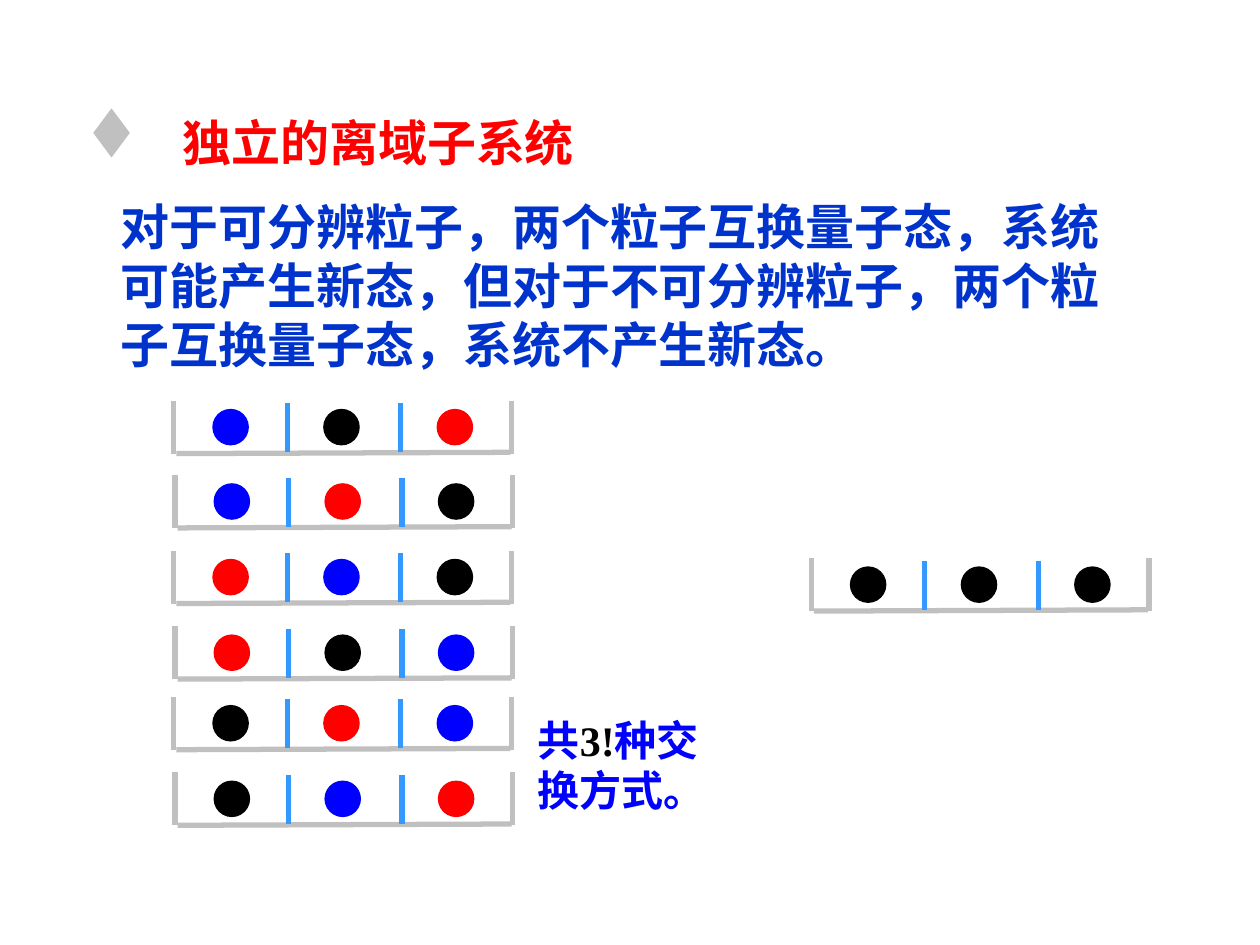
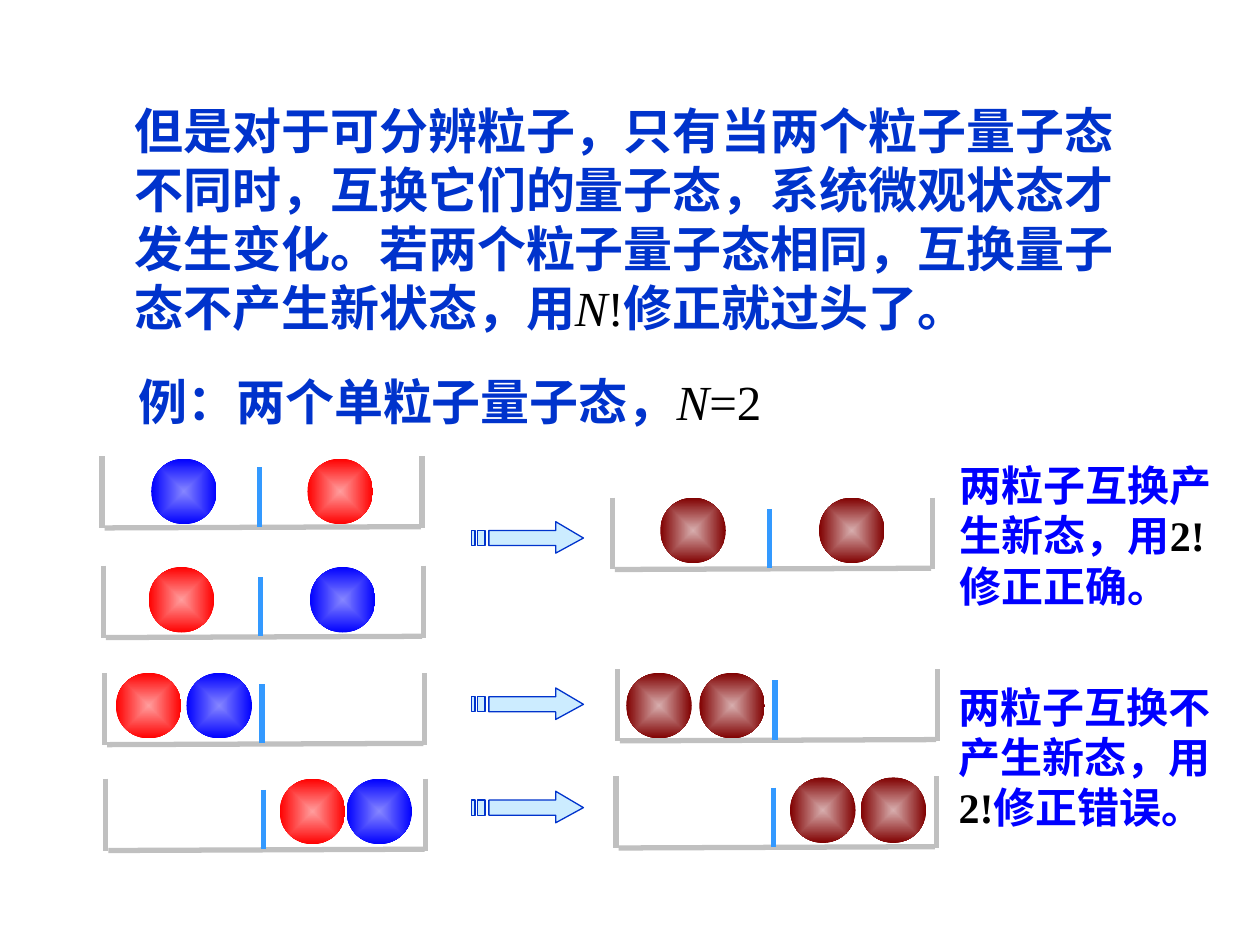
from pptx import Presentation
from pptx.dml.color import RGBColor
from pptx.enum.shapes import MSO_CONNECTOR, MSO_SHAPE
from pptx.enum.text import MSO_ANCHOR, PP_ALIGN
from pptx.oxml.ns import qn
from pptx.util import Inches, Pt
from lxml import etree

LINE, OVAL, RHOMB = MSO_CONNECTOR.STRAIGHT, MSO_SHAPE.OVAL, MSO_SHAPE.DIAMOND
TOP, MID = MSO_ANCHOR.TOP, MSO_ANCHOR.MIDDLE
LEFT, JUST = PP_ALIGN.LEFT, PP_ALIGN.JUSTIFY
ROMAN, HAN = "Times New Roman", "Noto Sans CJK SC"

COLORS = {
    "blue": "0000FF", "red": "FF0000", "black": "000000", "navy": "0033CC",
    "wall": "C0C0C0", "split": "3399FF", "sky": "CCECFF", "brown": "800000",
}
# Centre tint of each shaded ball
TINTS = {"blue": "8686FF", "red": "FF9E9E", "brown": "D7AEAE"}

# Run styles: font, size, colour, bold, italic
STYLES = {
    "head": (ROMAN, 28, "red", True, False),
    "body": (ROMAN, 28, "navy", True, False),
    "sign": (ROMAN, 28, "black", False, False),
    "var": (ROMAN, 28, "black", False, True),
    "note": (HAN, 24, "blue", True, False),
    "num": (ROMAN, 24, "black", True, False),
}

# Text boxes: left, top, width, height, line pitch in points, runs
HEAD = (1.35, 0.72, 4.84, 0.66, 40.5, [("head", "独立的离域子系统")])
TEXTS_1 = [
    (0.86, 1.46, 8.28, 1.51, 33.7, [
        ("body", "对于可分辨粒子，两个粒子互换量子态，系统可能产生新态，"
                 "但对于不可分辨粒子，两个粒子互换量子态，系统不产生新态。")]),
    (4.17, 5.57, 1.66, 0.91, 28.7, [
        ("note", "共"), ("num", "3!"), ("note", "种交换方式。")]),
]
TEXTS_2 = [
    (0.97, 0.7, 8.28, 1.99, 33.7, [
        ("body", "但是对于可分辨粒子，只有当两个粒子量子态不同时，"
                 "互换它们的量子态，系统微观状态才发生变化。"
                 "若两个粒子量子态相同，互换量子态不产生新状态，用"),
        ("var", "N"), ("sign", "!"), ("body", "修正就过头了。")]),
    (1, 2.85, 7.35, 0.57, 33.7, [
        ("body", "例：两个单粒子量子态，"), ("var", "N"), ("sign", "=2")]),
    (7.52, 3.55, 2.27, 1.31, 28.7, [
        ("note", "两粒子互换产生新态，用"), ("num", "2!"),
        ("note", "修正正确。")]),
    (7.51, 5.31, 2.27, 1.31, 28.7, [
        ("note", "两粒子互换不产生新态，用"), ("num", "2!"),
        ("note", "修正错误。")]),
]

# Three-cell trays: left, top, ball colours in order
TRIOS = [
    (1.38, 3.18, ("blue", "black", "red")),
    (1.39, 3.77, ("blue", "red", "black")),
    (1.38, 4.37, ("red", "blue", "black")),
    (1.39, 4.97, ("red", "black", "blue")),
    (1.38, 5.53, ("black", "red", "blue")),
    (1.39, 6.13, ("black", "blue", "red")),
    (6.44, 4.43, ("black", "black", "black")),
]
# Two-cell trays: left, top, ball drop, (colour, offset) of each ball
PAIRS = [
    (0.81, 3.62, 0.02, [("blue", 0.39), ("red", 1.63)]),
    (0.82, 4.49, 0.01, [("red", 0.36), ("blue", 1.64)]),
    (0.83, 5.34, 0, [("red", 0.09), ("blue", 0.65)]),
    (0.84, 6.18, 0, [("red", 1.38), ("blue", 1.91)]),
    (4.86, 3.95, 0, [("brown", 0.38), ("brown", 1.64)]),
    (4.9, 5.31, 0.03, [("brown", 0.07), ("brown", 0.65)]),
    (4.89, 6.16, 0.01, [("brown", 1.38), ("brown", 1.94)]),
]
# Tray forms: width, height, divider offsets, divider drop, ball size
TRIO_FORM = (2.68, 0.42, (0.9, 1.8), 0.02, 0.28)
PAIR_FORM = (2.54, 0.57, (1.25,), 0.09, 0.52)
TRIO_STEPS, TRIO_DROP = (0.31, 1.19, 2.09), 0.07

# Striped arrow: tops, and outlines in hundredths of an inch
ARROW_LEFT, ARROW_TOPS = 3.74, (4.14, 5.46, 6.28)
ARROW = [
    [(67, 0), (67, 7), (14, 7), (14, 19), (67, 19), (67, 25), (89, 13)],
    [(5, 7), (5, 19), (11, 19), (11, 7)],
    [(0, 7), (0, 19), (3, 19), (3, 7)],
]


def rgb(name):
    return RGBColor.from_string(COLORS[name])


def add_text(slide, box, anchor=TOP, align=LEFT):
    *place, pitch, runs = box
    frame = slide.shapes.add_textbox(*map(Inches, place)).text_frame
    frame.word_wrap = True
    frame.vertical_anchor = anchor
    frame.margin_top = Inches(0.1)
    par = frame.paragraphs[0]
    par.alignment = align
    par.line_spacing = Pt(pitch)
    for style, words in runs:
        face, size, color, bold, slant = STYLES[style]
        run = par.add_run()
        run.text = words
        font = run.font
        font.name, font.size = face, Pt(size)
        font.bold, font.italic = bold, slant
        font.color.rgb = rgb(color)
        # East Asian face follows the Latin one
        latin = run._r.rPr.find(qn("a:latin"))
        east = etree.Element(qn("a:ea"), typeface=HAN)
        latin.addnext(east)


def paint(shape, fill, edge=None):
    shape.shadow.inherit = False
    shape.fill.solid()
    shape.fill.fore_color.rgb = rgb(fill)
    if edge:
        shape.line.color.rgb = rgb(edge)
        shape.line.width = Pt(0.75)
    else:
        shape.line.fill.background()


def shade(shape, color):
    """Fill with a gradient that spreads from the centre."""
    shape.fill.gradient()
    stops = shape.fill.gradient_stops
    for stop, tone in zip(stops, (TINTS[color], COLORS[color])):
        stop.color.rgb = RGBColor.from_string(tone)
    grad = shape._element.spPr.find(qn("a:gradFill"))
    grad.remove(grad.find(qn("a:lin")))
    way = etree.Element(qn("a:path"), path="shape")
    mid = dict.fromkeys("ltrb", "50000")
    etree.SubElement(way, qn("a:fillToRect"), mid)
    grad.find(qn("a:gsLst")).addnext(way)


def add_line(group, ends, color):
    line = group.shapes.add_connector(LINE, *map(Inches, ends))
    line.line.color.rgb = rgb(color)
    line.line.width = Pt(3)
    etree.SubElement(line._element.spPr, qn("a:effectLst"))


def add_tray(slide, left, top, form, drop, balls, shaded=False):
    width, height, splits, gap, size = form
    right, base = left + width, top + height
    group = slide.shapes.add_group_shape()
    # Walls, floor and dividers
    for x in (left, right):
        add_line(group, (x, top, x, base), "wall")
    add_line(group, (left + 0.02, base, right - 0.01, base - 0.01), "wall")
    for step in splits:
        x = left + step
        add_line(group, (x, top + gap, x, base - 0.01), "split")
    # Balls
    for color, step in balls:
        place = (left + step, top + drop, size, size)
        ball = group.shapes.add_shape(OVAL, *map(Inches, place))
        paint(ball, color, None if shaded else color)
        if shaded:
            shade(ball, color)


def add_arrow(slide, top):
    first, *rest = ARROW
    pen = slide.shapes.build_freeform(*first[0], scale=Inches(0.01))
    pen.add_line_segments(first[1:], close=True)
    for stripe in rest:
        pen.move_to(*stripe[0])
        pen.add_line_segments(stripe[1:], close=True)
    arrow = pen.convert_to_shape(Inches(ARROW_LEFT), Inches(top))
    paint(arrow, "sky", "navy")


def main():
    deck = Presentation()
    deck.slide_width, deck.slide_height = Inches(10), Inches(7.5)
    blank = deck.slide_layouts[6]

    # Slide 1: three particles
    slide = deck.slides.add_slide(blank)
    for left, top, colors in TRIOS:
        balls = zip(colors, TRIO_STEPS)
        add_tray(slide, left, top, TRIO_FORM, TRIO_DROP, balls)
    add_text(slide, HEAD, MID, JUST)
    place = map(Inches, (0.74, 0.86, 0.29, 0.39))
    paint(slide.shapes.add_shape(RHOMB, *place), "wall")
    for box in TEXTS_1:
        add_text(slide, box)

    # Slide 2: two particles
    slide = deck.slides.add_slide(blank)
    for left, top, drop, balls in PAIRS:
        add_tray(slide, left, top, PAIR_FORM, drop, balls, shaded=True)
    for top in ARROW_TOPS:
        add_arrow(slide, top)
    for box in TEXTS_2:
        add_text(slide, box)

    deck.save("out.pptx")


if __name__ == "__main__":
    main()
